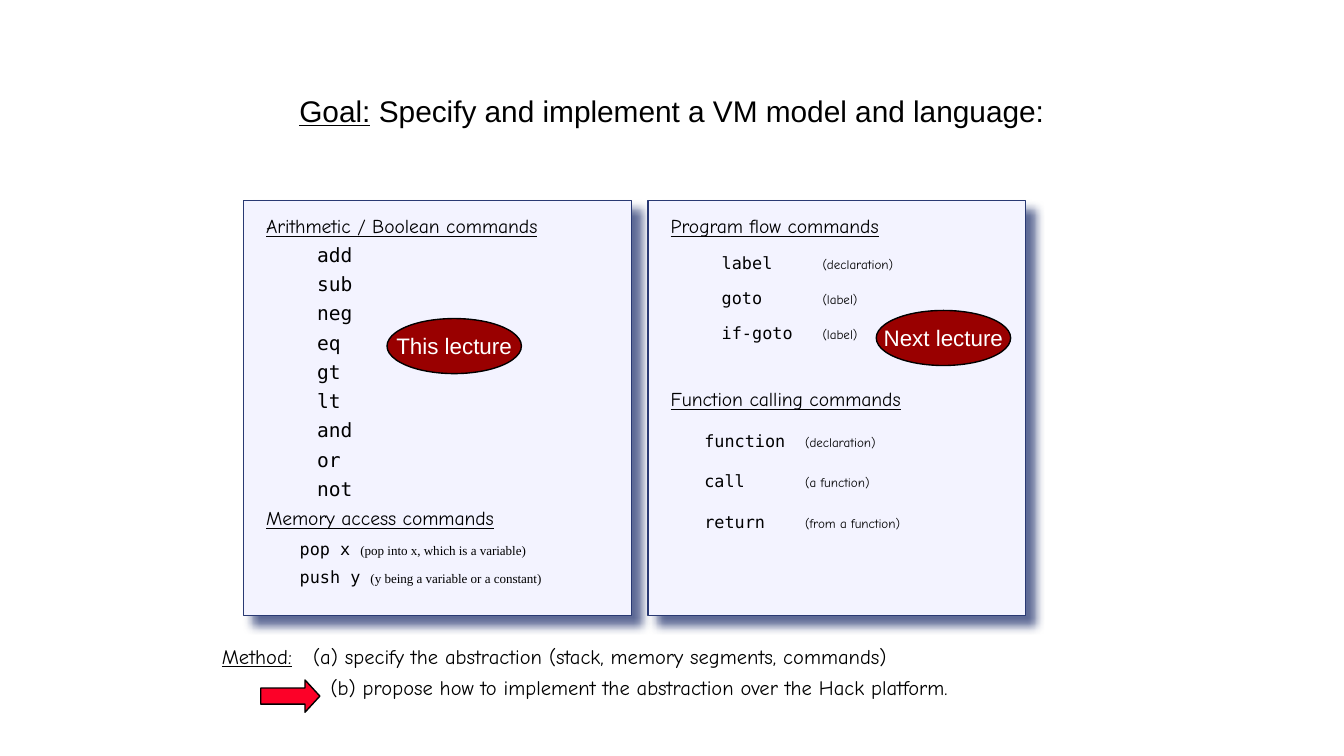
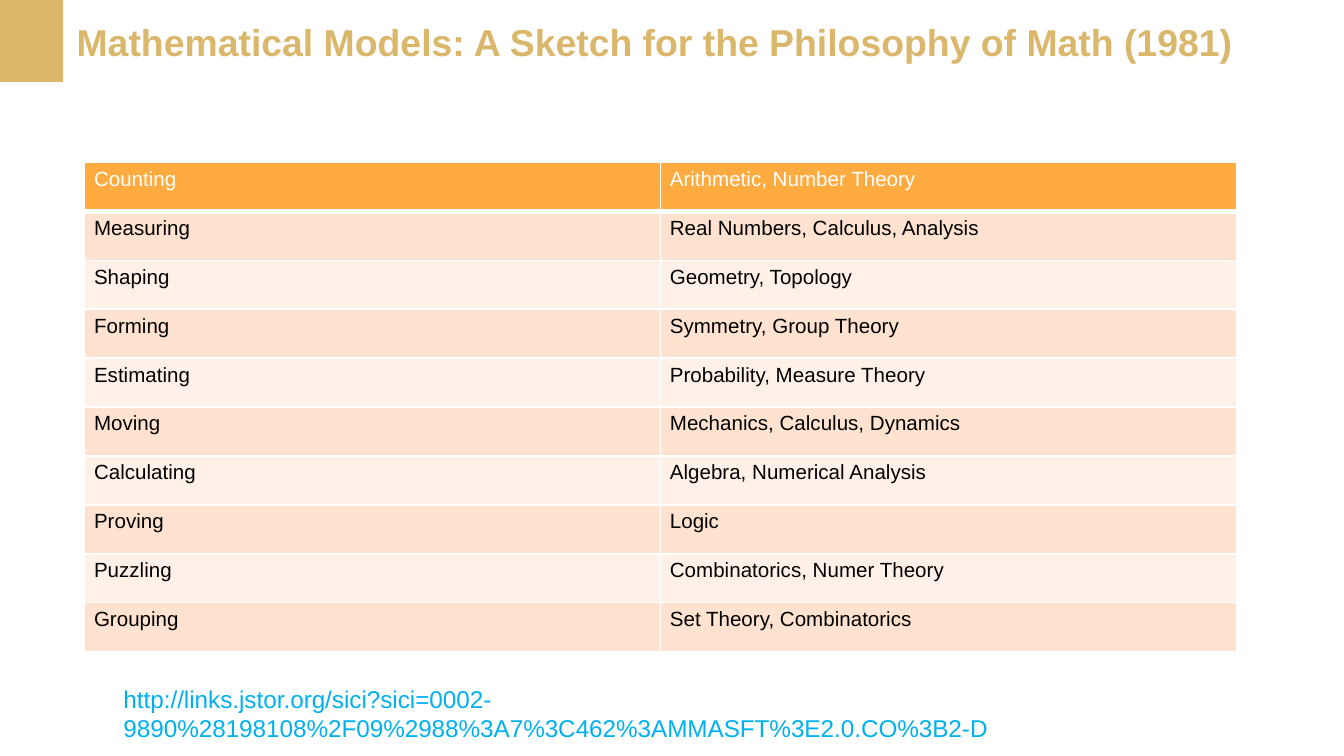
from lxml import etree
from pptx import Presentation
from pptx import util as u
from pptx.dml.color import RGBColor
from pptx.enum import shapes, text
from pptx.oxml import ns

BLACK = RGBColor(0x00, 0x00, 0x00)
WHITE = RGBColor(0xFF, 0xFF, 0xFF)
NAVY = RGBColor(0x29, 0x39, 0x73)
PANEL = RGBColor(0xF3, 0xF3, 0xFF)
MAROON = RGBColor(0x99, 0x00, 0x00)
RED = RGBColor(0xFC, 0x01, 0x28)
GOLD = RGBColor(0xDB, 0xB7, 0x6C)
SKY = RGBColor(0x00, 0xB0, 0xF0)
ORANGE = RGBColor(0xFF, 0xAB, 0x40)
PEACH = RGBColor(0xFF, 0xE2, 0xCF)
CREAM = RGBColor(0xFF, 0xF1, 0xE8)

SANS = "Arial"
COMIC = "Comic Neue"
MONO = "DejaVu Sans Mono"
SERIF = "Times New Roman"

OPERATIONS = ["add", "sub", "neg", "eq", "gt", "lt", "and", "or", "not"]
MEMORY = [("pop x", "(pop into x, which is a variable)"),
          ("push y", "(y being a variable or a constant)")]
FLOW = [("label", "(declaration)"), ("goto", "(label)"), ("if-goto", "(label)")]
CALLING = [("function", "(declaration)"), ("call", "(a function)"),
           ("return", "(from a function)")]
MODELS = [
    ("Counting", "Arithmetic, Number Theory"),
    ("Measuring", "Real Numbers, Calculus, Analysis"),
    ("Shaping", "Geometry, Topology"),
    ("Forming", "Symmetry, Group Theory"),
    ("Estimating", "Probability, Measure Theory"),
    ("Moving", "Mechanics, Calculus, Dynamics"),
    ("Calculating", "Algebra, Numerical Analysis"),
    ("Proving", "Logic"),
    ("Puzzling", "Combinatorics, Numer Theory"),
    ("Grouping", "Set Theory, Combinatorics"),
]
SOURCE = ("http://links.jstor.org/sici?sici=0002-9890%28198108%2F09%2988"
          "%3A7%3C462%3AMMASFT%3E2.0.CO%3B2-D")


def inches(*values):
    """Convert numbers to a list of lengths."""
    return [u.Inches(v) for v in values]


def add_run(p, words, size, font=SANS, color=BLACK, underline=False, bold=False):
    """Append a formatted run to a paragraph."""
    r = p.add_run()
    r.text = words
    f = r.font
    f.size, f.name, f.bold, f.underline = u.Pt(size), font, bold, underline
    f.color.rgb = color


def add_line(tf, runs, before=0, spacing=1.0, start=0, hang=0):
    """Add a paragraph whose first line begins at start and whose tab lands at hang."""
    p = tf.paragraphs[0]
    if p.runs:
        p = tf.add_paragraph()
    p.alignment = text.PP_ALIGN.LEFT
    p.space_before, p.space_after = u.Pt(before), u.Pt(0)
    p.line_spacing = spacing
    pPr = p._p.get_or_add_pPr()
    pPr.set("marL", str(u.Inches(hang)))
    pPr.set("indent", str(u.Inches(start) - u.Inches(hang)))
    for run in runs:
        add_run(p, *run)
    return p


def set_frame(sp, insets, anchor=text.MSO_ANCHOR.TOP, wrap=True):
    """Set the margins, anchor and wrapping of a shape's text."""
    tf = sp.text_frame
    tf.auto_size = text.MSO_AUTO_SIZE.NONE
    tf.word_wrap, tf.vertical_anchor = wrap, anchor
    tf.margin_left, tf.margin_top, tf.margin_right, tf.margin_bottom = inches(*insets)
    return tf


def add_box(s, kind, box, fill, line=None):
    """Add a filled preset shape without a shadow."""
    sp = s.shapes.add_shape(kind, *inches(*box))
    sp.shadow.inherit = False
    sp.fill.solid()
    sp.fill.fore_color.rgb = fill
    if line is None:
        sp.line.fill.background()
    else:
        sp.line.color.rgb = line
        sp.line.width = u.Pt(0.75)
    return sp


def add_shadow(sp, color):
    """Cast a soft shadow to the lower right of a shape."""
    effects = sp._element.spPr.find(ns.qn("a:effectLst"))
    shadow = etree.SubElement(effects, ns.qn("a:outerShdw"), blurRad=str(u.Pt(5)),
                              dist=str(u.Pt(7.1)), dir="2700000", algn="ctr",
                              rotWithShape="0")
    clr = etree.SubElement(shadow, ns.qn("a:srgbClr"), val=str(color))
    etree.SubElement(clr, ns.qn("a:alpha"), val="75000")


def place_title(s, box, insets, anchor, wrap=True):
    """Move the title placeholder and return its text frame."""
    sp = s.shapes.title
    sp.left, sp.top, sp.width, sp.height = inches(*box)
    return set_frame(sp, insets, anchor, wrap)


def add_panel(s, box):
    """Add a shadowed command panel and return its text frame."""
    sp = add_box(s, shapes.MSO_SHAPE.RECTANGLE, box, PANEL, NAVY)
    add_shadow(sp, NAVY)
    return set_frame(sp, (0.17, 0.16, 0.08, 0.16))


def add_heading(tf, words, before=0, spacing=0.65):
    """Add an underlined heading inside a panel."""
    add_line(tf, [(words, 10.5, COMIC, BLACK, True)], before, spacing)


def add_badge(s, corner, words):
    """Add a lecture badge with its top left at the given corner."""
    sp = add_box(s, shapes.MSO_SHAPE.OVAL, (*corner, 1, 0.41), MAROON, BLACK)
    tf = set_frame(sp, (0.1, 0.05, 0.1, 0.05), text.MSO_ANCHOR.MIDDLE, False)
    p = add_line(tf, [(words, 12, SANS, WHITE)])
    p.alignment = text.PP_ALIGN.CENTER


def add_data_panel(s, box):
    """Add the panel of arithmetic and memory commands."""
    tf = add_panel(s, box)
    add_heading(tf, "Arithmetic / Boolean commands")
    for name in OPERATIONS:
        add_line(tf, [(name, 10.5, MONO)], 3.1, start=0.38)
    add_heading(tf, "Memory access commands", 3.1, 1.0)
    for name, note in MEMORY:
        add_line(tf, [(name + " ", 9, MONO), (note, 7, SERIF)], 4.6, start=0.25)
    add_badge(s, (box[0] + 1.07, box[1] + 0.88), "This lecture")


def add_control_panel(s, box):
    """Add the panel of program flow and function commands."""
    tf = add_panel(s, box)
    groups = [("Program flow commands", FLOW, 0, 11.7, 0.38, 1.13),
              ("Function calling commands", CALLING, 28, 14.6, 0.25, 1)]
    for heading, commands, above, gap, start, hang in groups:
        add_heading(tf, heading, above)
        for name, note in commands:
            add_line(tf, [(name + "\t", 9, MONO), (note, 7, COMIC)],
                     gap, 0.65, start, hang)
    add_badge(s, (box[0] + 1.7, box[1] + 0.82), "Next lecture")


def add_method(s, box):
    """Add the two method steps and the arrow at the second one."""
    left, top = box[:2]
    arrow = add_box(s, shapes.MSO_SHAPE.RIGHT_ARROW,
                    (left + 0.37, top + 0.31, 0.44, 0.24), RED, BLACK)
    arrow.adjustments[1] = 0.46
    tf = set_frame(s.shapes.add_textbox(*inches(*box)), (0.08, 0.04, 0.08, 0.04))
    add_line(tf, [("Method:", 11, COMIC, BLACK, True),
                  ("\t(a) specify the abstraction (stack, memory segments, commands)",
                   11, COMIC)], hang=0.68)
    add_line(tf, [("(b) propose how to implement the abstraction over the Hack platform.",
                   11, COMIC)], 3.6, start=0.81)


def add_models_table(s, box):
    """Add the two-column table of activities and fields."""
    table = s.shapes.add_table(len(MODELS), 2, *inches(*box)).table
    for i, row in enumerate(MODELS):
        fill = ORANGE if i == 0 else (CREAM, PEACH)[i % 2]
        edges = {"lnL": 1, "lnR": 1, "lnT": 1, "lnB": 1 if i else 3}
        for j, words in enumerate(row):
            cell = table.cell(i, j)
            tcPr = cell._tc.get_or_add_tcPr()
            for edge, width in edges.items():
                ln = etree.SubElement(tcPr, ns.qn("a:" + edge), w=str(u.Pt(width)))
                solid = etree.SubElement(ln, ns.qn("a:solidFill"))
                etree.SubElement(solid, ns.qn("a:srgbClr"), val=str(WHITE))
            cell.fill.solid()
            cell.fill.fore_color.rgb = fill
            cell.margin_left = cell.margin_right = u.Inches(0.07)
            cell.margin_top = cell.margin_bottom = u.Inches(0.04)
            add_line(cell.text_frame, [(words, 11, SANS, BLACK if i else WHITE)])


def build_goal_slide(prs):
    """Build the slide on the goal of the VM language."""
    s = prs.slides.add_slide(prs.slide_layouts[5])
    tf = place_title(s, (1.75, 0.56, 6.38, 0.48), [0.1] * 4, text.MSO_ANCHOR.MIDDLE)
    p = add_line(tf, [("Goal:", 16, SANS, BLACK, True),
                      (" Specify and implement a VM model and language:", 16)],
                 spacing=1.15, start=0.12)
    p.alignment = text.PP_ALIGN.CENTER
    add_method(s, (1.57, 4.75, 7.18, 0.77))
    add_data_panel(s, (1.81, 1.49, 2.89, 3.09))
    add_control_panel(s, (4.82, 1.49, 2.81, 3.09))


def build_models_slide(prs):
    """Build the slide on mathematical models."""
    s = prs.slides.add_slide(prs.slide_layouts[5])
    add_box(s, shapes.MSO_SHAPE.RECTANGLE, (0, 0, 0.47, 0.61), GOLD)
    tf = place_title(s, (0.47, 0.09, 8.89, 0.44), (0.1, 0.05, 0.1, 0.05),
                     text.MSO_ANCHOR.TOP, False)
    add_line(tf, [("Mathematical Models: A Sketch for the Philosophy of Math (1981)",
                   20, SANS, GOLD, False, True)])
    sp = s.shapes.add_textbox(*inches(0.82, 5.04, 8.68, 0.54))
    add_line(set_frame(sp, (0.1, 0.05, 0.1, 0.05)), [(SOURCE, 13, SANS, SKY)])
    add_models_table(s, (0.63, 1.21, 8.57, 3.64))


def main():
    """Build both slides and save the deck."""
    prs = Presentation()
    prs.slide_width = u.Inches(10)
    prs.slide_height = u.Inches(10 * 9 / 16)
    build_goal_slide(prs)
    build_models_slide(prs)
    prs.save("out.pptx")


if __name__ == "__main__":
    main()
